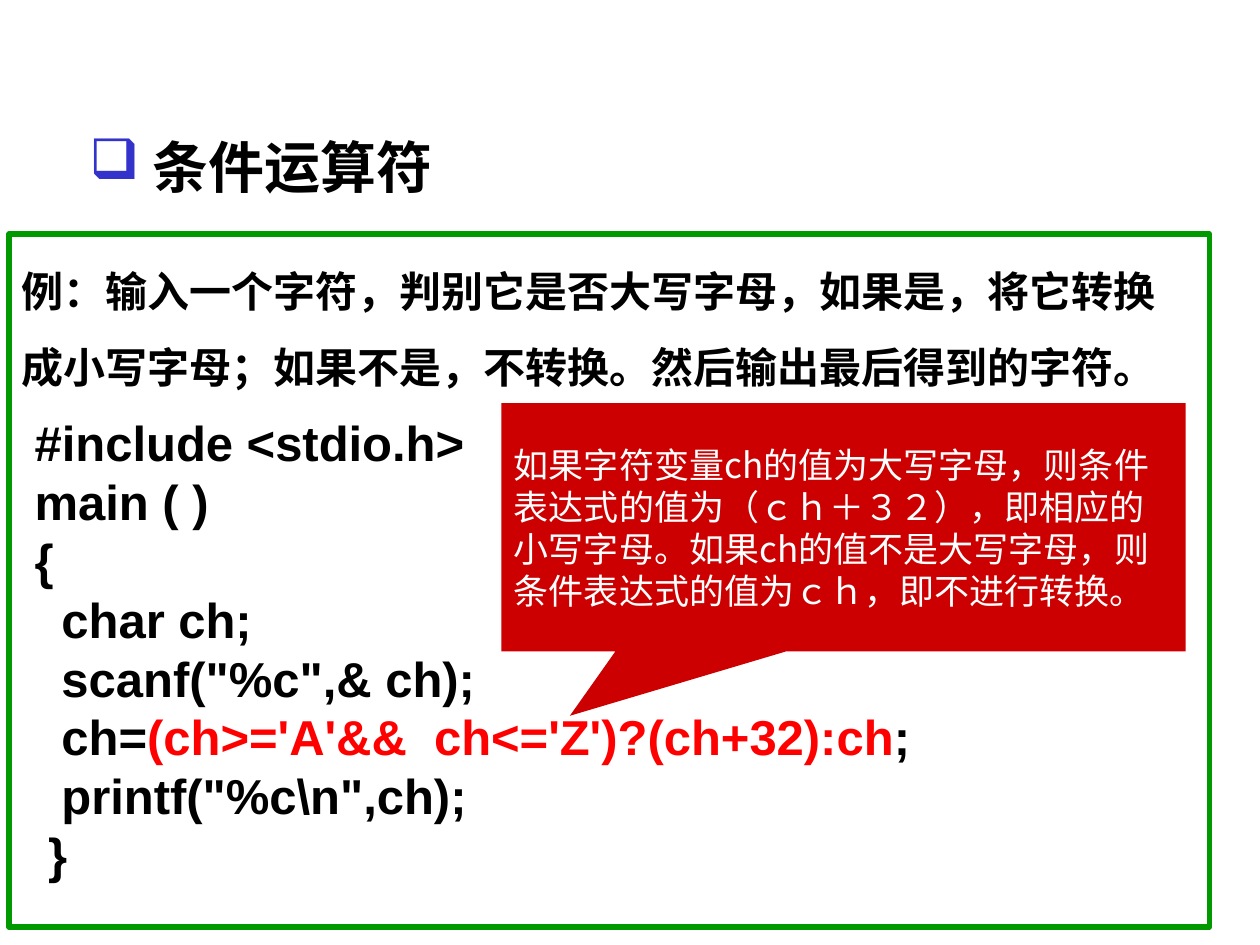
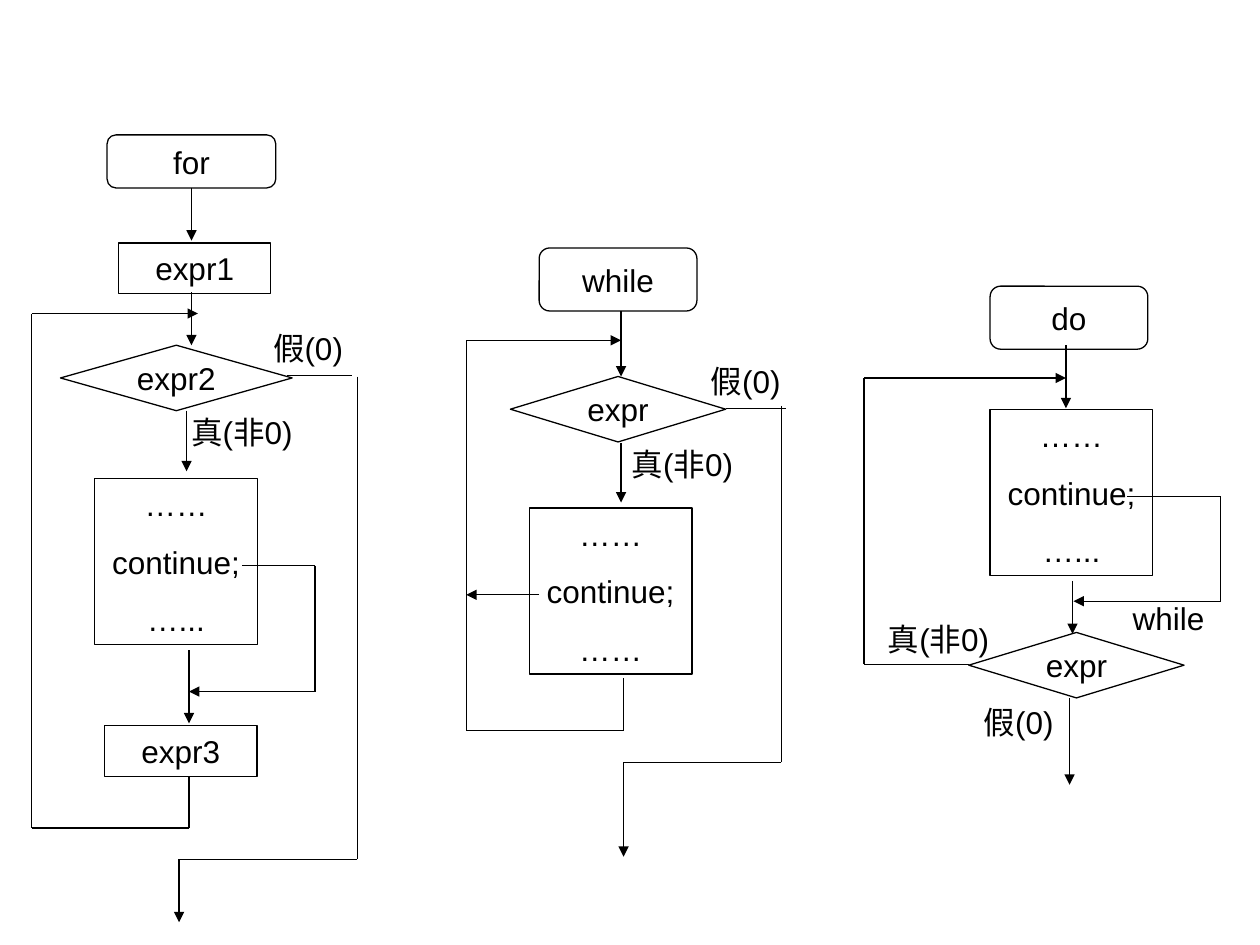
"""Builds two C language slides: the conditional operator and continue in loops."""
from lxml import etree
from pptx import Presentation
from pptx.dml.color import RGBColor
from pptx.enum import shapes, text
from pptx.oxml import ns
from pptx.util import Cm, Pt

BLACK = RGBColor(0, 0, 0)
WHITE = RGBColor(255, 255, 255)
GREEN = RGBColor(0, 153, 0)
CRIMSON = RGBColor(204, 0, 0)
RED = RGBColor(255, 0, 0)
BULLET_BLUE = "3333CC"
LATIN, CJK = "Arial", "Noto Sans CJK SC"
LEADING = 1.2

TITLE = "条件运算符"
TASK = ("例：输入一个字符，判别它是否大写字母，如果是，将它转换成小写字母；"
        "如果不是，不转换。然后输出最后得到的字符。")
NOTE = ("如果字符变量ch的值为大写字母，则条件表达式的值为（ｃｈ＋３２），即相应的小写字母。"
        "如果ch的值不是大写字母，则条件表达式的值为ｃｈ，即不进行转换。")
CONDITION = "(ch>='A'&&  ch<='Z')?(ch+32):ch"
CODE = [
    (1, ["#include <stdio.h>"]),
    (1, ["main ( )"]),
    (1, ["{"]),
    (3, ["char ch;"]),
    (3, ['scanf("%c",& ch);']),
    (3, ["ch=", CONDITION, ";"]),
    (3, ['printf("%c\\n",ch);']),
    (2, ["}"]),
]
CODE_STEP = 0.27

BOX = shapes.MSO_SHAPE.RECTANGLE
START = shapes.MSO_SHAPE.FLOWCHART_ALTERNATE_PROCESS
TEST = shapes.MSO_SHAPE.FLOWCHART_DECISION
TRUE, FALSE = "真(非0)", "假(0)"
BODY = ["……", "continue;", "…..."]

FLOWS = [
    {
        "nodes": [
            (START, (2.16, 2.72, 3.4, 1.07), ["for"]),
            (BOX, (2.39, 4.9, 3.07, 1.02), ["expr1"]),
            (TEST, (1.22, 6.96, 4.67, 1.32), ["expr2"]),
            (BOX, (1.91, 9.65, 3.28, 3.35), BODY),
            (BOX, (2.11, 14.63, 3.07, 1.02), ["expr3"]),
        ],
        "labels": [
            ((5.18, 6.5, 2.06, 1.02), FALSE),
            ((3.15, 8.2, 3.45, 1.02), TRUE),
        ],
        "arrows": [
            [(3.86, 3.78), (3.86, 4.85)],
            [(3.86, 5.89), (3.86, 6.96)],
            [(3.76, 8.28), (3.76, 9.5)],
            [(3.81, 13.11), (3.81, 14.58)],
            [(3.81, 15.65), (3.81, 16.69), (0.64, 16.69), (0.64, 6.32), (3.99, 6.32)],
            [(7.2, 7.59), (7.2, 17.32), (3.61, 17.32), (3.61, 18.59)],
            [(4.88, 11.4), (6.35, 11.4), (6.35, 13.94), (3.81, 13.94)],
        ],
        "exit": [(5.79, 7.57), (7.09, 7.57)],
    },
    {
        "nodes": [
            (START, (10.87, 5, 3.18, 1.27), ["while"]),
            (TEST, (10.29, 7.59, 4.34, 1.32), ["expr"]),
            (BOX, (10.67, 10.24, 3.28, 3.35), ["……", "continue;", "……"]),
        ],
        "labels": [
            ((14, 7.16, 2.06, 1.02), FALSE),
            ((12.14, 8.84, 3.23, 1.02), TRUE),
        ],
        "arrows": [
            [(12.52, 6.27), (12.52, 7.59)],
            [(12.52, 8.94), (12.52, 10.13)],
            [(12.57, 13.67), (12.57, 14.73), (9.4, 14.73), (9.4, 6.86), (12.52, 6.86)],
            [(15.75, 8.18), (15.75, 15.37), (12.57, 15.37), (12.57, 17.27)],
            [(10.87, 11.99), (9.4, 11.99)],
        ],
        "exit": [(14.63, 8.23), (15.85, 8.23)],
    },
    {
        "nodes": [
            (START, (19.96, 5.77, 3.18, 1.27), ["do"]),
            (BOX, (19.96, 8.26, 3.28, 3.35), BODY),
            (TEST, (19.53, 12.75, 4.34, 1.32), ["expr"]),
        ],
        "labels": [
            ((17.42, 12.37, 3, 1.02), TRUE),
            ((19.33, 14.05, 2.41, 1.02), FALSE),
            ((22.5, 11.94, 2.11, 1.02), "while"),
        ],
        "arrows": [
            [(21.49, 6.96), (21.49, 8.23)],
            [(21.62, 11.71), (21.62, 12.78)],
            [(21.56, 14.07), (21.56, 15.82)],
            [(19.53, 13.39), (17.42, 13.39), (17.42, 7.62), (21.49, 7.62)],
            [(22.71, 10.01), (24.61, 10.01), (24.61, 12.12), (21.64, 12.12)],
        ],
        "exit": [],
    },
]


def cm(values):
    return [Cm(v) for v in values]


def style(p, size, color=BLACK, bold=False, name=LATIN, align=text.PP_ALIGN.LEFT, lines=1):
    p.alignment = align
    p.line_spacing = Pt(size * LEADING * lines)
    f = p.font
    f.size, f.bold, f.name = Pt(size), bold, name
    f.color.rgb = color
    etree.SubElement(f._element, ns.qn("a:ea"), typeface=CJK)


def frame(sp, anchor=text.MSO_ANCHOR.TOP, wrap=True):
    tf = sp.text_frame
    tf.auto_size = text.MSO_AUTO_SIZE.NONE
    tf.vertical_anchor, tf.word_wrap = anchor, wrap
    return tf


def add_box(parent, kind, at, fill=None, line=None, width=0.75):
    sp = parent.add_shape(kind, *cm(at))
    sp.shadow.inherit = False
    if fill is None:
        sp.fill.background()
    else:
        sp.fill.solid()
        sp.fill.fore_color.rgb = fill
    if line is None:
        sp.line.fill.background()
    else:
        sp.line.color.rgb, sp.line.width = line, Pt(width)
    return sp


def write_centred(sp, lines):
    tf = frame(sp, text.MSO_ANCHOR.MIDDLE, wrap=False)
    for i, line in enumerate(lines):
        p = tf.add_paragraph() if i else tf.paragraphs[0]
        p.text = line
        p.space_before = Pt(11.2)
        style(p, 18, align=text.PP_ALIGN.CENTER)


def add_path(parent, points, arrow=True):
    cxn = None
    for start, end in zip(points, points[1:]):
        cxn = parent.add_connector(shapes.MSO_CONNECTOR.STRAIGHT, *cm(start + end))
        cxn.line.color.rgb, cxn.line.width = BLACK, Pt(0.75)
        etree.SubElement(cxn._element.spPr, ns.qn("a:effectLst"))
    if arrow:
        etree.SubElement(cxn.line._get_or_add_ln(), ns.qn("a:tailEnd"), type="triangle")


def add_title(slide):
    sp = slide.shapes.title
    sp.left, sp.top, sp.width, sp.height = cm((1.55, 2.55, 8, 2))
    p = frame(sp).paragraphs[0]
    p.text = TITLE
    style(p, 32, bold=True)
    pPr = p._p.get_or_add_pPr()
    pPr.set("marL", str(Cm(1.27)))
    pPr.set("indent", str(Cm(-1.27)))
    color = etree.Element(ns.qn("a:buClr"))
    etree.SubElement(color, ns.qn("a:srgbClr"), val=BULLET_BLUE)
    bullet = etree.Element(ns.qn("a:buChar"), char="❑")
    defaults = pPr.find(ns.qn("a:defRPr"))
    defaults.addprevious(color)
    defaults.addprevious(bullet)


def add_code(slide):
    tf = frame(slide.shapes.add_textbox(*cm((0.18, 8.2, 21.95, 9.75))))
    for i, (depth, parts) in enumerate(CODE):
        p = tf.add_paragraph() if i else tf.paragraphs[0]
        style(p, 28, bold=True)
        p._p.get_or_add_pPr().set("marL", str(Cm(depth * CODE_STEP)))
        for part in parts:
            r = p.add_run()
            r.text = part
            if part == CONDITION:
                r.font.color.rgb = RED


def build_operator_slide(prs):
    slide = prs.slides.add_slide(prs.slide_layouts[5])
    add_title(slide)
    task = add_box(slide.shapes, BOX, (0.18, 4.72, 24.2, 13.97), WHITE, GREEN, 3)
    p = frame(task).paragraphs[0]
    p.text = TASK
    style(p, 24, bold=True, lines=1.5)
    note = add_box(slide.shapes, shapes.MSO_SHAPE.RECTANGULAR_CALLOUT,
                   (10.11, 8.13, 13.79, 5), CRIMSON)
    note.adjustments[0], note.adjustments[1] = -0.4, 0.76
    p = frame(note, text.MSO_ANCHOR.MIDDLE).paragraphs[0]
    p.text = NOTE
    style(p, 20, WHITE, name=CJK)
    add_code(slide)


def build_loops_slide(prs):
    slide = prs.slides.add_slide(prs.slide_layouts[6])
    for flow in FLOWS:
        group = slide.shapes.add_group_shape().shapes
        for kind, at, lines in flow["nodes"]:
            fill = None if kind == START else WHITE
            write_centred(add_box(group, kind, at, fill, BLACK), lines)
        for at, label in flow["labels"]:
            write_centred(group.add_textbox(*cm(at)), [label])
        for points in flow["arrows"]:
            add_path(group, points)
        add_path(group, flow["exit"], arrow=False)


def main():
    prs = Presentation()
    prs.slide_width, prs.slide_height = Cm(25.4), Cm(19.05)
    build_operator_slide(prs)
    build_loops_slide(prs)
    prs.save("out.pptx")


if __name__ == "__main__":
    main()
